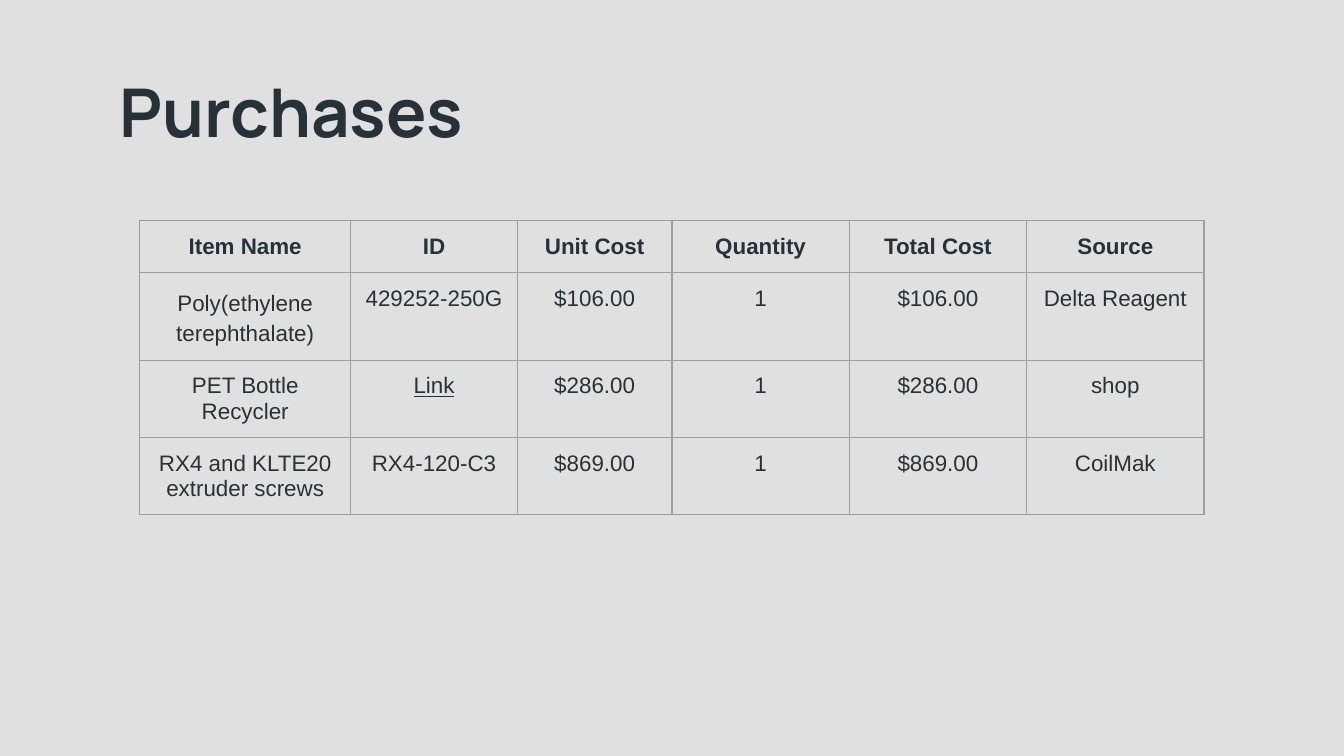
"""Build the Purchases slide with its table of items and costs."""
import lxml.etree
import pptx
import pptx.dml.color
import pptx.enum.text
import pptx.oxml.ns
import pptx.util

Inches, Pt = pptx.util.Inches, pptx.util.Pt
BACKGROUND = pptx.dml.color.RGBColor(0xE0, 0xE0, 0xE0)
INK = pptx.dml.color.RGBColor(0x26, 0x32, 0x38)
BORDER = pptx.dml.color.RGBColor(0x9E, 0x9E, 0x9E)

TITLE = "Purchases"
PURCHASES = [
    ("Item Name", "ID", "Unit Cost", "Quantity", "Total Cost", "Source"),
    ("Poly(ethylene terephthalate)", "429252-250G", "$106.00", "1", "$106.00", "Delta Reagent"),
    ("PET Bottle Recycler", "Link", "$286.00", "1", "$286.00", "shop"),
    ("RX4 and KLTE20 extruder screws", "RX4-120-C3", "$869.00", "1", "$869.00", "CoilMak"),
]
SLIDE_WIDTH = Inches(10)
SLIDE_HEIGHT = SLIDE_WIDTH * 9 // 16
COLUMN_WIDTHS = [1.57, 1.24, 1.15, 1.32, 1.32, 1.32]
ROW_HEIGHTS = [0.39, 0.65, 0.57, 0.57]
TABLE_LEFT, TABLE_TOP = 1.04, 1.64
PADDING = Inches(0.1)


def style_font(font, name, size, bold):
    font.name, font.size, font.bold = name, Pt(size), bold
    font.color.rgb = INK


def add_borders(cell):
    properties = cell._tc.get_or_add_tcPr()
    qn = pptx.oxml.ns.qn
    for index, side in enumerate(("lnL", "lnR", "lnT", "lnB")):
        line = lxml.etree.Element(qn(f"a:{side}"), w=str(Pt(0.75)))
        fill = lxml.etree.SubElement(line, qn("a:solidFill"))
        lxml.etree.SubElement(fill, qn("a:srgbClr"), val=str(BORDER))
        properties.insert(index, line)


def add_title(slide):
    title = slide.shapes.title
    title.left, title.top = Inches(0.79), Inches(0.42)
    title.width, title.height = Inches(8.43), Inches(0.67)
    frame = title.text_frame
    frame.text = TITLE
    frame.auto_size = pptx.enum.text.MSO_AUTO_SIZE.NONE
    frame.vertical_anchor = pptx.enum.text.MSO_ANCHOR.TOP
    frame.margin_left = frame.margin_right = frame.margin_top = frame.margin_bottom = PADDING
    paragraph = frame.paragraphs[0]
    paragraph.alignment = pptx.enum.text.PP_ALIGN.LEFT
    style_font(paragraph.font, "Manrope", 36, True)


def fill_cell(cell, text, is_header):
    cell.text = text
    cell.fill.background()
    cell.margin_left = cell.margin_right = cell.margin_top = cell.margin_bottom = PADDING
    add_borders(cell)
    paragraph = cell.text_frame.paragraphs[0]
    paragraph.alignment = pptx.enum.text.PP_ALIGN.CENTER
    style_font(paragraph.font, "Arial", 12, is_header)
    paragraph.font.underline = text == "Link"


def add_purchases(slide):
    table = slide.shapes.add_table(
        len(PURCHASES), len(COLUMN_WIDTHS), Inches(TABLE_LEFT), Inches(TABLE_TOP),
        Inches(sum(COLUMN_WIDTHS)), Inches(sum(ROW_HEIGHTS))).table
    table.horz_banding = False
    for column, width in zip(table.columns, COLUMN_WIDTHS):
        column.width = Inches(width)
    for row_index, (row, height, texts) in enumerate(zip(table.rows, ROW_HEIGHTS, PURCHASES)):
        row.height = Inches(height)
        for cell, text in zip(row.cells, texts):
            fill_cell(cell, text, row_index == 0)
    polymer = table.cell(1, 0).text_frame.paragraphs[0]
    polymer.line_spacing, polymer.space_after = 1.2, Pt(6)


def main():
    presentation = pptx.Presentation()
    presentation.slide_width, presentation.slide_height = SLIDE_WIDTH, SLIDE_HEIGHT
    slide = presentation.slides.add_slide(presentation.slide_layouts.get_by_name("Title Only"))
    slide.background.fill.solid()
    slide.background.fill.fore_color.rgb = BACKGROUND
    add_title(slide)
    add_purchases(slide)
    presentation.save("out.pptx")


if __name__ == "__main__":
    main()
